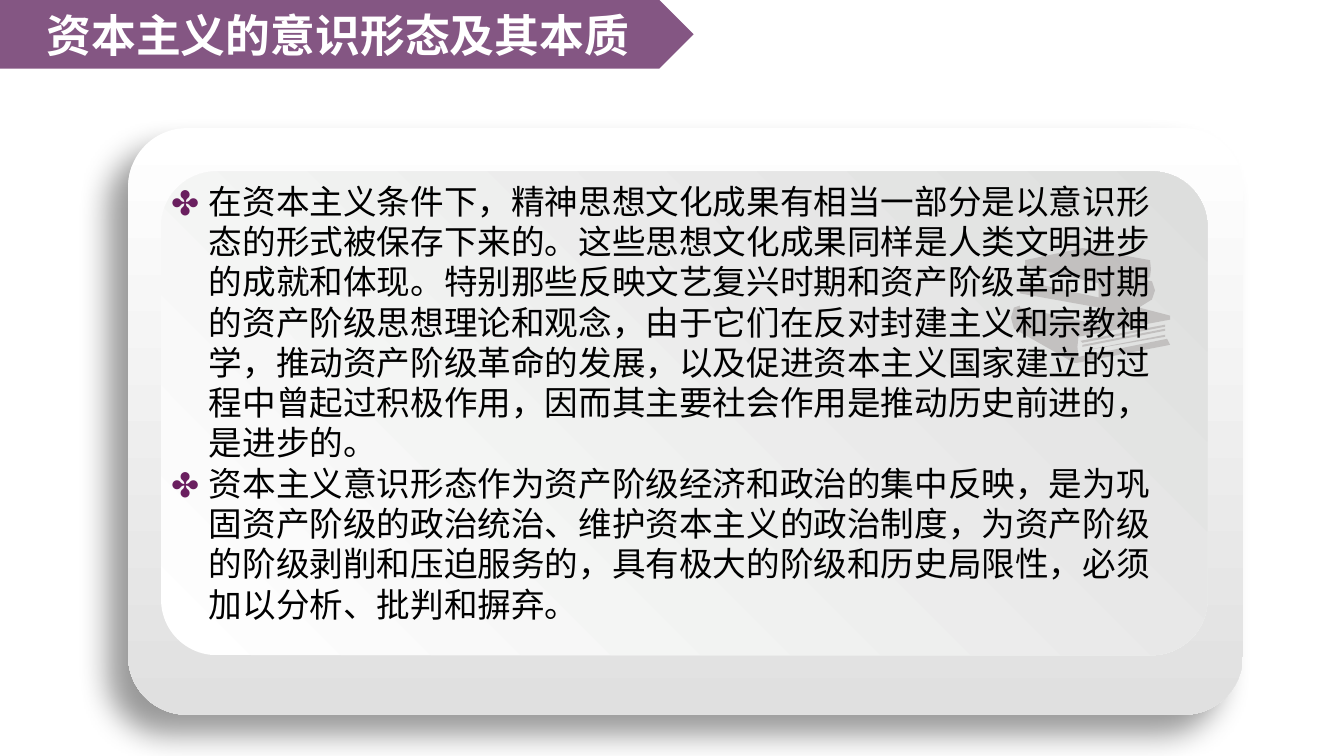
from lxml.etree import SubElement
from pptx import Presentation
from pptx.dml.color import RGBColor
from pptx.enum.shapes import MSO_SHAPE
from pptx.enum.text import MSO_ANCHOR, MSO_AUTO_SIZE, PP_ALIGN
from pptx.oxml.ns import qn
from pptx.util import Cm, Pt

TITLE = "资本主义的意识形态及其本质"
POINTS = [
    "在资本主义条件下，精神思想文化成果有相当一部分是以意识形态的形式被保存下来的。这些思想文化成果同样是人类文明进步的成就和体现。特别那些反映文艺复兴时期和资产阶级革命时期的资产阶级思想理论和观念，由于它们在反对封建主义和宗教神学，推动资产阶级革命的发展，以及促进资本主义国家建立的过程中曾起过积极作用，因而其主要社会作用是推动历史前进的，是进步的。",
    "资本主义意识形态作为资产阶级经济和政治的集中反映，是为巩固资产阶级的政治统治、维护资本主义的政治制度，为资产阶级的阶级剥削和压迫服务的，具有极大的阶级和历史局限性，必须加以分析、批判和摒弃。",
]
# Book stack in hundredths of an inch: silhouette, then three page gaps
BOOK_OUTLINES = [
    [(161, 77), (70, 94), (69, 104), (70, 114), (158, 96), (161, 102), (68, 120),
     (66, 120), (6, 86), (3, 75), (6, 65), (12, 63), (12, 65), (90, 82), (90, 65),
     (12, 51), (12, 45), (17, 43), (17, 39), (90, 55), (90, 41), (17, 24), (17, 18),
     (74, 6), (141, 18), (142, 27), (141, 35), (134, 37), (143, 39), (146, 48),
     (143, 57), (130, 65), (161, 73)],
    [(74, 108), (156, 94), (156, 92)],
    [(74, 102), (74, 104), (156, 88), (156, 86)],
    [(72, 98), (74, 100), (156, 84), (156, 82)],
]
BOOKS_ORIGIN = Cm(25.4), Cm(6.1)
OUTER_PANEL = Cm(3.23), Cm(3.23), Cm(28.09), Cm(14.78)
INNER_PANEL = Cm(4.06), Cm(4.32), Cm(26.37), Cm(12.19)
BODY_AREA = Cm(4.06), Cm(4.42), Cm(25.96), Cm(13.59)
BANNER = Cm(0), Cm(0), Cm(17.48), Cm(1.73)
TITLE_AREA = Cm(0), Cm(0), Cm(17.04), Cm(1.73)

FONT = "Noto Sans CJK SC"
WHITE = RGBColor(0xFF, 0xFF, 0xFF)
BLACK = RGBColor(0, 0, 0)
LIGHT_GREY = RGBColor(0xE0, 0xE0, 0xE0)
PANEL_GREY = RGBColor(0xDD, 0xDE, 0xDD)
BOOK_GREY = RGBColor(0xAF, 0xAB, 0xAB)
PURPLE = RGBColor(0x5A, 0x1B, 0x58)
BULLET_PURPLE = RGBColor(0x6A, 0x1F, 0x5F)


def paint(shape, color, opacity):
    shape.fill.solid()
    shape.fill.fore_color.rgb = color
    color_node = shape.fill._xPr.find(".//" + qn("a:srgbClr"))
    SubElement(color_node, qn("a:alpha"), val=str(opacity * 1000))
    shape.line.fill.background()
    shape.shadow.inherit = False


def add_panel(page, area, roundness, end_color, angle):
    panel = page.shapes.add_shape(MSO_SHAPE.ROUNDED_RECTANGLE, *area)
    panel.adjustments[0] = roundness
    panel.fill.gradient()
    panel.fill.gradient_angle = angle
    for stop, color, position in zip(panel.fill.gradient_stops, (WHITE, end_color), (0, 1)):
        stop.color.rgb = color
        stop.position = position
    panel.line.fill.background()
    panel.shadow.inherit = False
    return panel


def add_shadow(shape):
    effects = shape._element.spPr.find(qn("a:effectLst"))
    shadow = SubElement(effects, qn("a:outerShdw"), blurRad=str(Pt(22)), dist=str(Pt(20)),
                        dir=str(135 * 60000), algn="tr", rotWithShape="0")
    color = SubElement(shadow, qn("a:srgbClr"), val=str(BLACK))
    SubElement(color, qn("a:alpha"), val="40000")


def add_books(page):
    builder = None
    for start, *rest in BOOK_OUTLINES:
        if builder is None:
            builder = page.shapes.build_freeform(*start, scale=Cm(0.0254))
        else:
            builder.move_to(*start)
        builder.add_line_segments(rest, close=True)
    paint(builder.convert_to_shape(*BOOKS_ORIGIN), BOOK_GREY, 61)


def add_bullet(para):
    properties = para._p.get_or_add_pPr()
    properties.set("marL", str(Cm(0.95)))
    properties.set("indent", str(-Cm(0.95)))
    color = SubElement(properties, qn("a:buClr"))
    SubElement(color, qn("a:srgbClr"), val=str(BULLET_PURPLE))
    SubElement(properties, qn("a:buFont"), typeface=FONT)
    SubElement(properties, qn("a:buChar"), char="✤")


def write(para, text, size, color, bold=False, align=PP_ALIGN.LEFT):
    para.alignment = align
    para.space_before = Pt(0)
    span = para.add_run()
    span.text = text
    span.font.size = Pt(size)
    span.font.bold = bold
    span.font.color.rgb = color
    span.font.name = FONT
    SubElement(span.font._element, qn("a:ea"), typeface=FONT)


def place(box, area, anchor):
    """Move a placeholder to the area, on top of the shapes drawn so far."""
    box.left, box.top, box.width, box.height = area
    frame = box.text_frame
    frame.word_wrap = True
    frame.auto_size = MSO_AUTO_SIZE.NONE
    frame.vertical_anchor = anchor
    box._element.getparent().append(box._element)
    return frame


def main():
    deck = Presentation()
    deck.slide_width, deck.slide_height = Cm(33.87), Cm(19.05)
    page = deck.slides.add_slide(deck.slide_layouts[1])

    add_shadow(add_panel(page, OUTER_PANEL, 0.1, LIGHT_GREY, 270))
    add_panel(page, INNER_PANEL, 0.115, PANEL_GREY, 45)
    add_books(page)

    body = place(page.placeholders[1], BODY_AREA, MSO_ANCHOR.TOP)
    for index, point in enumerate(POINTS):
        para = body.add_paragraph() if index else body.paragraphs[0]
        add_bullet(para)
        write(para, point, 24, BLACK)

    banner = page.shapes.add_shape(MSO_SHAPE.PENTAGON, *BANNER)
    paint(banner, PURPLE, 74)
    title = place(page.shapes.title, TITLE_AREA, MSO_ANCHOR.MIDDLE)
    write(title.paragraphs[0], TITLE, 32, WHITE, bold=True, align=PP_ALIGN.CENTER)

    deck.save("out.pptx")


if __name__ == "__main__":
    main()
